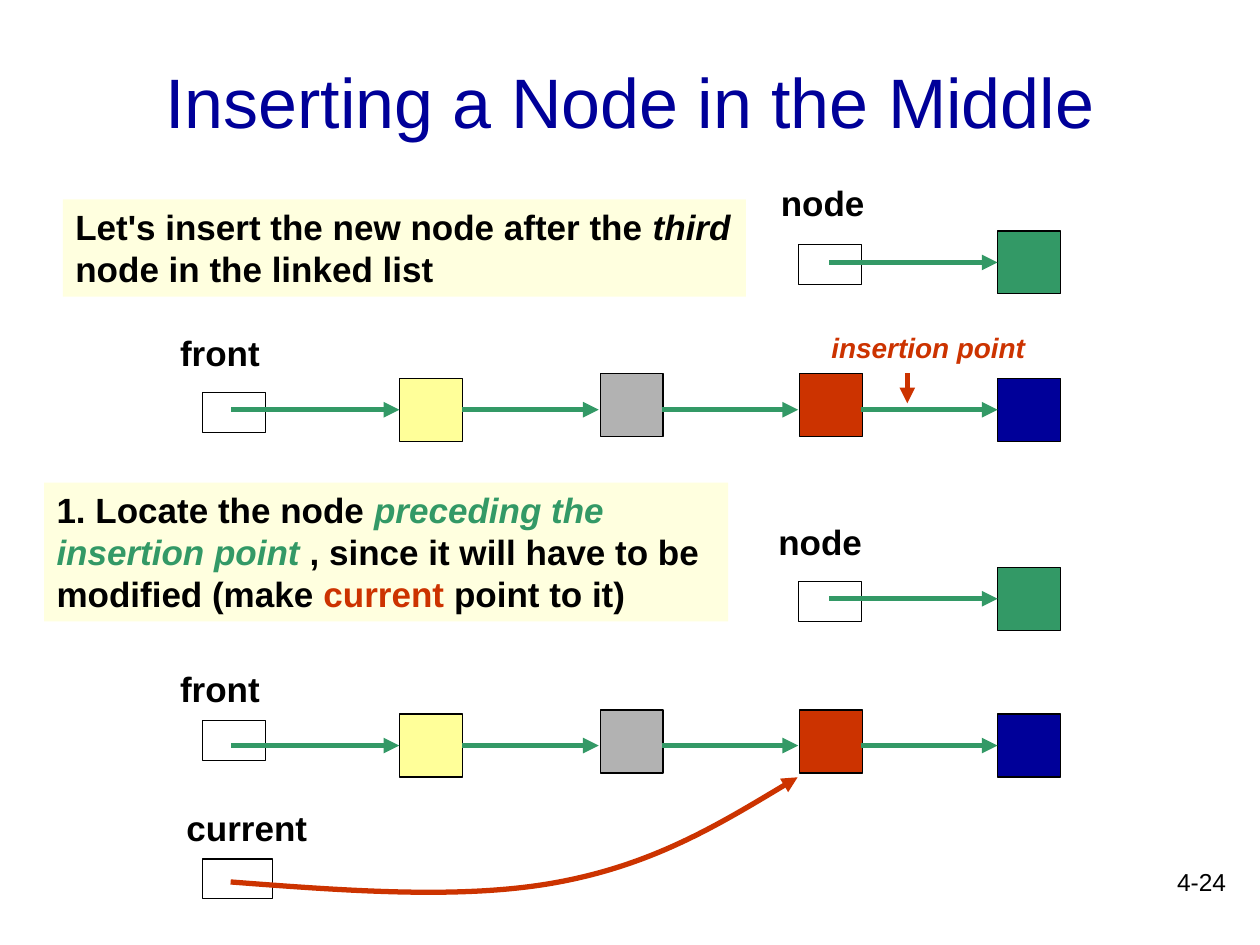
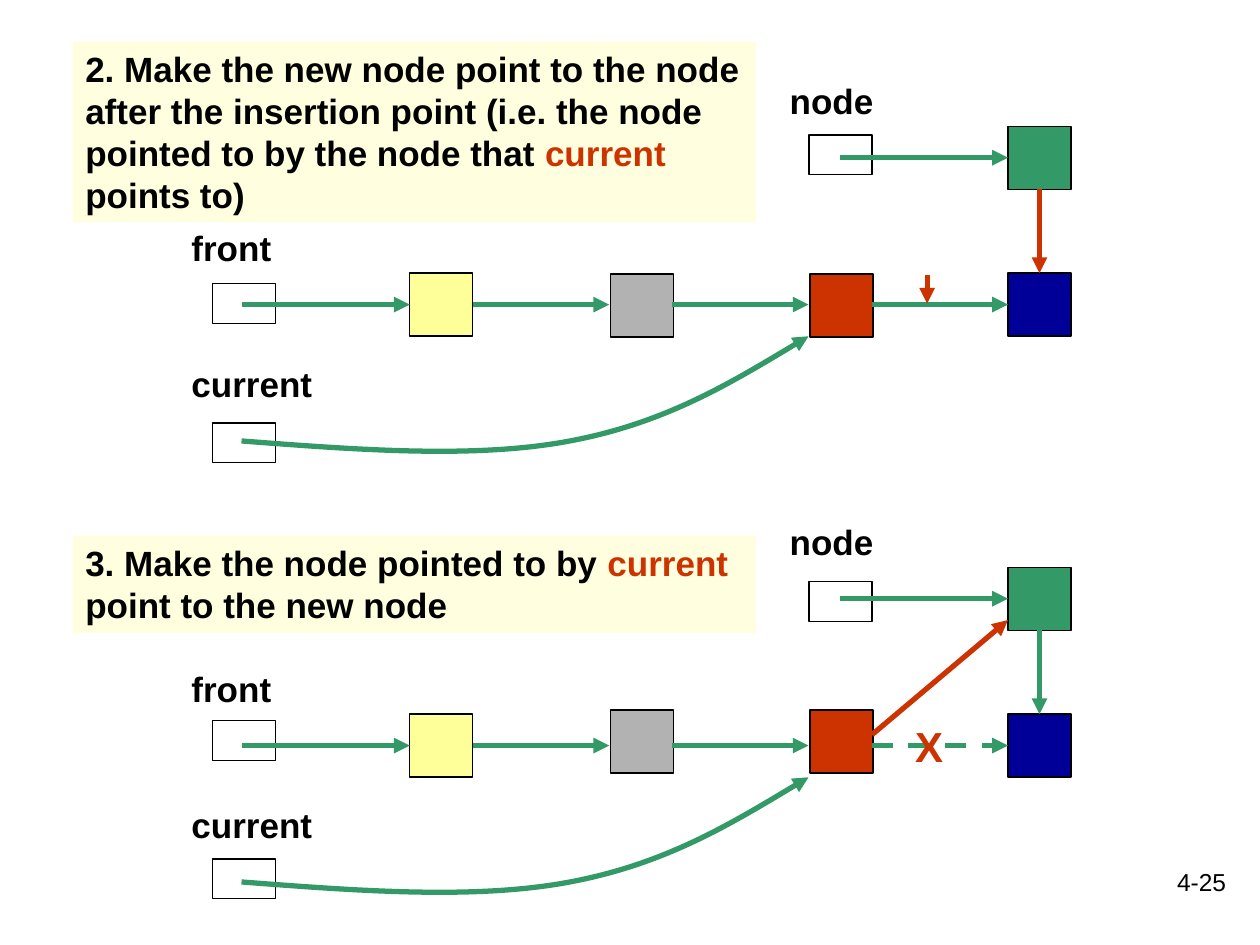
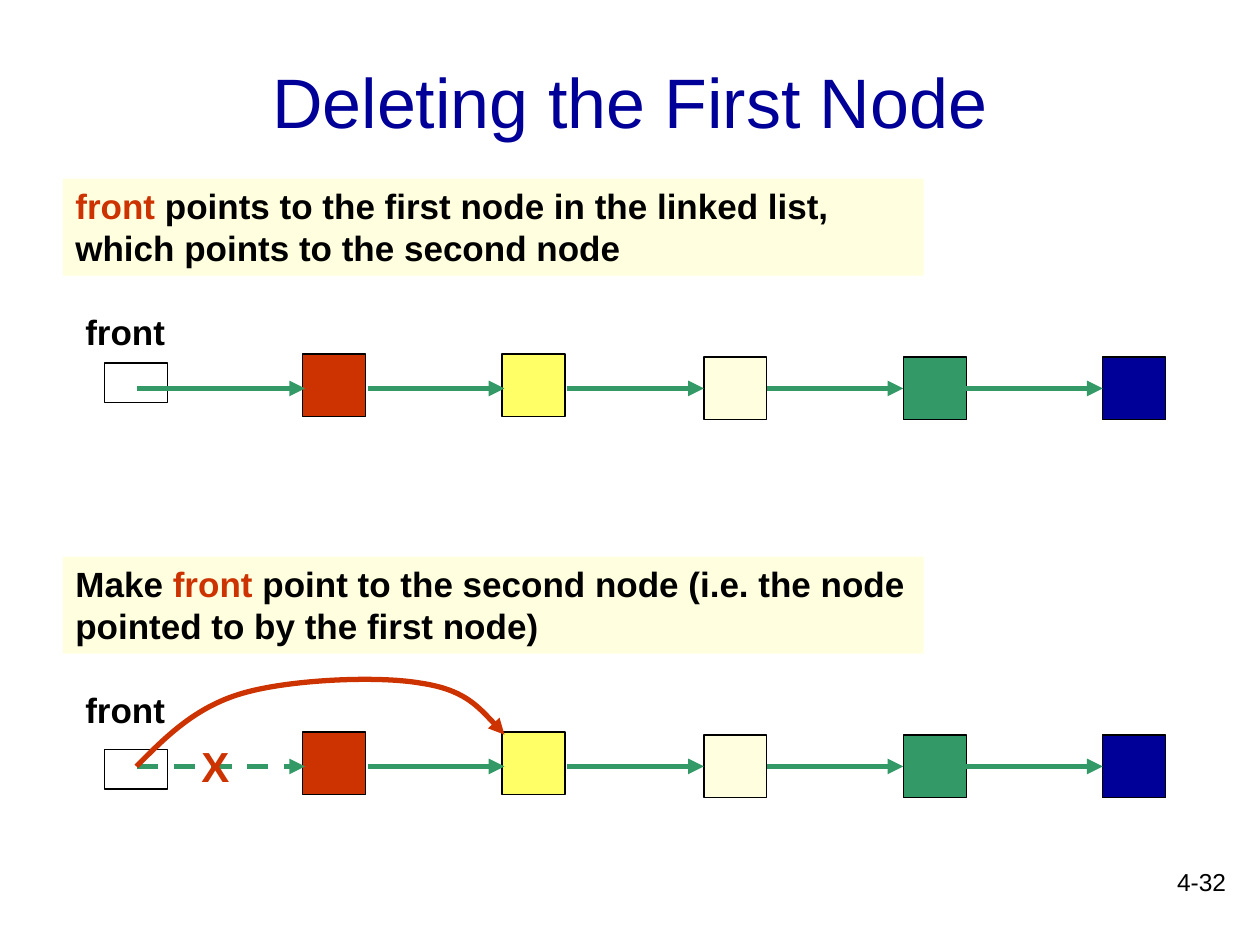
from dataclasses import dataclass

from lxml import etree
from pptx import Presentation
from pptx import util as u
from pptx.dml.color import RGBColor
from pptx.enum import dml, shapes, text
from pptx.oxml import ns


@dataclass(frozen=True)
class Theme:
    font: str = "Arial"
    ink: str = "000000"
    navy: str = "000099"
    green: str = "339966"
    red: str = "CC3300"
    grey: str = "B2B2B2"
    pale_yellow: str = "FFFF99"
    yellow: str = "FFFF66"
    cream: str = "FFFFDF"
    title_size: int = 40
    mark_size: int = 24
    body_size: int = 20
    caption_size: int = 16
    footer_size: int = 14
    outline: float = 0.75
    arrow: float = 3


THEME = Theme()

# Lengths in centimetres
NODE = 1.27
PITCH = 4.02
POINTER_HEIGHT = 0.8
POINTER_REACH = 3.39
TITLE_ONLY, BLANK = 5, 6

# Curve points relative to the start, three for each cubic segment
CURRENT_CURVE = [(2.35, 0.18), (4.72, 0.36), (6.62, 0),
                 (8.53, -0.36), (9.98, -1.24), (11.43, -2.11)]
BYPASS_CURVE = [(0.58, -0.58), (1.17, -1.19), (2.13, -1.47),
                (3.07, -1.75), (4.85, -1.83), (5.72, -1.68),
                (6.6, -1.55), (7.01, -1.09), (7.42, -0.64)]

INSERTION_NODES = [THEME.pale_yellow, THEME.grey, THEME.red, THEME.navy]
DELETION_NODES = [THEME.red, THEME.yellow, THEME.cream, THEME.green, THEME.navy]


def rgb(colour):
    return RGBColor.from_string(colour)


def lengths(*values):
    return [u.Cm(value) for value in values]


class Board:
    """Draws linked-list diagrams on the current slide."""

    def __init__(self, deck, theme):
        self.deck = deck
        self.theme = theme
        self.page = None

    def new_page(self, number, title=None):
        layout = self.deck.slide_layouts[TITLE_ONLY if title else BLANK]
        self.page = self.deck.slides.add_slide(layout)
        if title:
            box = self.page.shapes.title
            box.left, box.top, box.width, box.height = lengths(1.9, 0.43, 21.59, 3.18)
            self.add_words(box, [title], self.theme.title_size, self.theme.navy,
                           bold=False, align=text.PP_ALIGN.CENTER)
            box.text_frame.vertical_anchor = text.MSO_ANCHOR.MIDDLE
        self.label(number, 19.69, 17.35, 5.28, 1.27, size=self.theme.footer_size,
                   bold=False, align=text.PP_ALIGN.RIGHT)

    def add_words(self, box, pieces, size, colour, bold=True, italic=False,
                  align=text.PP_ALIGN.LEFT):
        """Add runs; a piece is a string or (string, colour, italic)."""
        frame = box.text_frame
        frame.word_wrap = True
        frame.auto_size = text.MSO_AUTO_SIZE.NONE
        para = frame.paragraphs[0]
        para.alignment = align
        for piece in pieces:
            if isinstance(piece, str):
                piece = (piece, colour, italic)
            span = para.add_run()
            span.text, shade, span.font.italic = piece
            span.font.name = self.theme.font
            span.font.size = u.Pt(size)
            span.font.bold = bold
            span.font.color.rgb = rgb(shade)

    def label(self, words, left, top, width=2.54, height=1.09, size=None,
              colour=None, **style):
        box = self.page.shapes.add_textbox(*lengths(left, top, width, height))
        self.add_words(box, [words], size or self.theme.body_size,
                       colour or self.theme.ink, **style)

    def cross(self, left, top):
        self.label("X", left, top, NODE, NODE, self.theme.mark_size, self.theme.red)

    def box(self, left, top, width, height, fill=None, outlined=True):
        box = self.page.shapes.add_shape(
            shapes.MSO_SHAPE.RECTANGLE, *lengths(left, top, width, height))
        box.shadow.inherit = False
        if fill:
            box.fill.solid()
            box.fill.fore_color.rgb = rgb(fill)
        else:
            box.fill.background()
        if outlined:
            box.line.color.rgb = rgb(self.theme.ink)
            box.line.width = u.Pt(self.theme.outline)
        else:
            box.line.fill.background()
        return box

    def note(self, left, top, width, lines, *pieces):
        box = self.box(left, top, width, 0.28 + 0.84 * lines, self.theme.cream,
                       outlined=False)
        self.add_words(box, pieces, self.theme.body_size, self.theme.ink)
        box.text_frame.vertical_anchor = text.MSO_ANCHOR.TOP

    def pointer(self, name, label_at, box_at, width=NODE):
        self.box(*box_at, width, POINTER_HEIGHT)
        self.label(name, *label_at, width=3.38 if name == "current" else 2.54)

    def arrow_style(self, shape, colour, dashed=False):
        shape.line.color.rgb = rgb(colour)
        shape.line.width = u.Pt(self.theme.arrow)
        if dashed:
            shape.line.dash_style = dml.MSO_LINE.DASH
        outline = shape.line._get_or_add_ln()
        etree.SubElement(outline, ns.qn("a:tailEnd"), type="triangle")

    def arrow(self, start, end, colour=None, dashed=False, source=None, target=None):
        """Draw a straight arrow; source and target are (shape, side) joints."""
        line = self.page.shapes.add_connector(
            shapes.MSO_CONNECTOR.STRAIGHT, *lengths(*start, *end))
        self.arrow_style(line, colour or self.theme.green, dashed)
        etree.SubElement(line._element.spPr, ns.qn("a:effectLst"))
        if source:
            line.begin_connect(*source)
        if target:
            line.end_connect(*target)

    def curve(self, start, offsets, colour):
        """Draw a curved arrow through cubic segments."""
        left, top = start
        builder = self.page.shapes.build_freeform(*lengths(left, top))
        builder.add_line_segments(
            [lengths(left + dx, top + dy) for dx, dy in offsets], close=False)
        shape = builder.convert_to_shape()
        shape.shadow.inherit = False
        shape.fill.background()
        self.arrow_style(shape, colour)
        outline = shape._element.find(".//" + ns.qn("a:path"))
        steps = outline.findall(ns.qn("a:lnTo"))
        for first in range(0, len(steps), 3):
            cubic = etree.SubElement(outline, ns.qn("a:cubicBezTo"))
            for step in steps[first:first + 3]:
                cubic.append(step[0])
                outline.remove(step)

    def chain(self, first, axis, colours, lifted, slip, dashed=None):
        """Draw the nodes and the arrows into them; lifted nodes move by slip."""
        lefts = [first + PITCH * index for index in range(len(colours))]
        nodes = []
        for index, (left, colour) in enumerate(zip(lefts, colours)):
            dx, dy = slip if index in lifted else (0, 0)
            nodes.append(self.box(left + dx, axis - NODE / 2 + dy, NODE, NODE, colour))
        for index, left in enumerate(lefts):
            start = lefts[index - 1] + NODE if index else left - POINTER_REACH
            joins_source = index and index - 1 not in lifted
            self.arrow((start, axis), (left, axis), dashed=index == dashed,
                       source=(nodes[index - 1], 3) if joins_source else None,
                       target=(nodes[index], 1) if index not in lifted else None)
        return nodes

    def insertion(self, first, axis, new_axis, slip=(0.03, -0.08), dashed=None):
        """Draw the four-node list and the new node; return new and last node."""
        nodes = self.chain(first, axis, INSERTION_NODES, (1, 2), slip, dashed)
        left = first + 3 * PITCH
        new = self.box(left, new_axis - NODE / 2, NODE, NODE, self.theme.green)
        self.arrow((left - POINTER_REACH, new_axis), (left, new_axis), target=(new, 1))
        return new, nodes[-1]


def insert_locate(board):
    theme = board.theme
    board.new_page("4-24", "Inserting a Node in the Middle")
    board.note(1.27, 4.02, 13.77, 2, "Let's insert the new node after the ",
               ("third ", theme.ink, True), "node in the linked list")
    board.pointer("node", (15.49, 3.53), (16.1, 4.93))
    board.pointer("front", (3.38, 6.55), (4.09, 7.92))
    board.insertion(8.05, 8.26, 5.29, slip=(0.03, -0.1))
    board.arrow((18.29, 7.52), (18.29, 8.13), theme.red)
    board.label("insertion point", 16.51, 6.53, 5.41, 0.94, theme.caption_size,
                theme.red, italic=True)

    board.note(0.89, 9.73, 13.79, 3, "1. Locate the node ",
               ("preceding the insertion point", theme.green, True),
               " , since it will have to be modified (make ",
               ("current ", theme.red, False), "point to it)")
    board.pointer("node", (15.44, 10.36), (16.1, 11.73))
    board.pointer("front", (3.38, 13.34), (4.09, 14.53))
    board.pointer("current", (3.51, 16.13), (4.09, 17.32), width=1.4)
    board.insertion(8.05, 15.03, 12.07)
    board.curve((4.65, 17.78), CURRENT_CURVE, theme.red)


def insert_relink(board):
    theme = board.theme
    current = ("current", theme.red, False)
    board.new_page("4-25")
    board.note(1.47, 0.84, 13.77, 4,
               "2. Make the new node point to the node after the insertion point "
               "(i.e. the node pointed to by the node that ", current, " points to)")
    board.pointer("node", (15.67, 1.47), (16.31, 2.72))
    board.pointer("front", (3.61, 4.45), (4.29, 5.72))
    board.pointer("current", (3.61, 7.19), (4.29, 8.53))
    new, last = board.insertion(8.26, 6.14, 3.18, slip=(0.03, 0.02))
    board.curve((4.87, 8.89), CURRENT_CURVE, theme.green)
    board.arrow((20.96, 3.81), (20.96, 5.51), theme.red,
                source=(new, 2), target=(last, 0))
    board.arrow((18.69, 5.54), (18.69, 6.12), theme.red)

    board.note(1.47, 10.8, 13.77, 2, "3. Make the node pointed to by ", current,
               " point to the new node")
    board.pointer("node", (15.67, 10.36), (16.31, 11.73))
    board.pointer("front", (3.61, 13.34), (4.29, 14.53))
    board.pointer("current", (3.61, 16.08), (4.29, 17.32))
    new, last = board.insertion(8.26, 15.03, 12.07, dashed=3)
    board.curve((4.87, 17.78), CURRENT_CURVE, theme.green)
    board.arrow((20.96, 12.7), (20.96, 14.4), source=(new, 2), target=(last, 0))
    board.arrow((17.58, 14.81), (20.32, 12.5), theme.red)
    board.cross(18.2, 14.4)


def delete_first(board):
    theme = board.theme
    front = ("front", theme.red, False)
    board.new_page("4-32", "Deleting the First Node")
    board.note(1.27, 3.6, 17.35, 2, front,
               " points to the first node in the linked list, "
               "which points to the second node")
    board.note(1.27, 11.22, 17.35, 2, "Make ", front,
               " point to the second node (i.e. the node pointed to by the first node)")
    for axis, label_top, box_top, dashed in [(7.83, 6.14, 7.32, None),
                                             (15.45, 13.76, 15.11, 0)]:
        board.pointer("front", (1.47, label_top), (2.11, box_top))
        board.chain(6.15, axis, DELETION_NODES, (0, 1), (-0.05, -0.06), dashed)
    board.cross(3.81, 14.81)
    board.curve((2.75, 15.45), BYPASS_CURVE, theme.red)


def main():
    deck = Presentation()
    deck.slide_width, deck.slide_height = lengths(25.4, 19.05)
    board = Board(deck, THEME)
    insert_locate(board)
    insert_relink(board)
    delete_first(board)
    deck.save("out.pptx")


if __name__ == "__main__":
    main()
